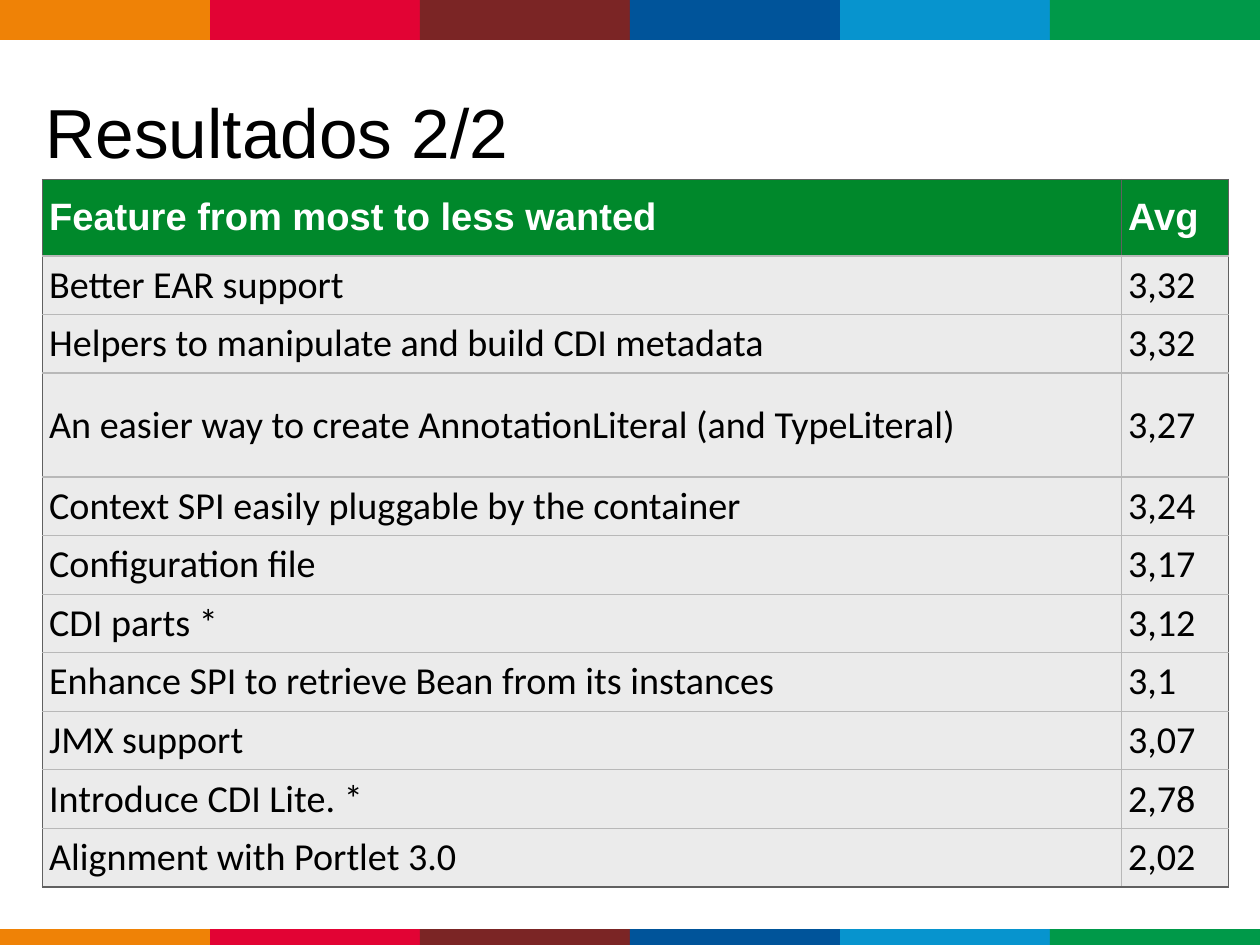
from lxml import etree
from pptx import Presentation
from pptx.dml.color import RGBColor
from pptx.enum.shapes import MSO_SHAPE
from pptx.enum.text import MSO_ANCHOR
from pptx.oxml.ns import qn
from pptx.util import Inches, Pt

RECT = MSO_SHAPE.RECTANGLE
MIDDLE = MSO_ANCHOR.MIDDLE

# The page measures 28 by 21 centimetres
WIDTH, HEIGHT = 28 / 2.54, 21 / 2.54
COLORS = {
    "orange": "EF8206", "red": "E20334", "maroon": "7B2525",
    "blue": "00549A", "sky": "0794CE", "green": "009949",
    "head": "00882B", "cell": "EBEBEB", "dark": "606060",
    "light": "B8B8B8", "black": "000000", "white": "FFFFFF",
}
STRIPES = ["orange", "red", "maroon", "blue", "sky", "green"]
ROWS = [
    ("Feature from most to less wanted", "Avg"),
    ("Better EAR support", "3,32"),
    ("Helpers to manipulate and build CDI metadata", "3,32"),
    ("An easier way to create AnnotationLiteral (and TypeLiteral)", "3,27"),
    ("Context SPI easily pluggable by the container", "3,24"),
    ("Configuration file", "3,17"),
    ("CDI parts *", "3,12"),
    ("Enhance SPI to retrieve Bean from its instances", "3,1"),
    ("JMX support", "3,07"),
    ("Introduce CDI Lite. *", "2,78"),
    ("Alignment with Portlet 3.0", "2,02"),
]
AVG_WIDTH = 0.94
TALL_ROWS = {0: 0.67, 3: 0.91}


def color(name):
    return RGBColor.from_string(COLORS[name])


def style(frame, size, font, tone, bold=False):
    for run in frame.paragraphs[0].runs:
        run.font.size = Pt(size)
        run.font.name = font
        run.font.bold = bold
        run.font.color.rgb = color(tone)


def add_band(slide, left, top, width, height):
    step = width / len(STRIPES)
    for i, tone in enumerate(STRIPES):
        bar = slide.shapes.add_shape(
            RECT, Inches(left + i * step), Inches(top),
            Inches(step), Inches(height))
        bar.shadow.inherit = False
        bar.fill.solid()
        bar.fill.fore_color.rgb = color(tone)
        bar.line.fill.background()


def add_title(slide, left, top, width, height):
    box = slide.shapes.add_textbox(
        Inches(left), Inches(top), Inches(width), Inches(height))
    frame = box.text_frame
    frame.word_wrap = True
    frame.vertical_anchor = MIDDLE
    frame.text = "Resultados 2/2"
    style(frame, 43.7, "Arial", "black")


def set_border(cell, tones):
    # Border lines come before the fill in the cell properties
    props = cell._tc.get_or_add_tcPr()
    for i, (side, tone) in enumerate(tones.items()):
        line = etree.Element(qn("a:ln" + side), w=str(Pt(0.96)))
        fill = etree.SubElement(line, qn("a:solidFill"))
        etree.SubElement(fill, qn("a:srgbClr"), val=COLORS[tone])
        props.insert(i, line)


def fill_cell(cell, text, row, col):
    head = row == 0
    cell.fill.solid()
    cell.fill.fore_color.rgb = color("head" if head else "cell")
    cell.margin_left = cell.margin_right = Inches(0.06)
    cell.margin_top = cell.margin_bottom = Inches(0.05)
    cell.vertical_anchor = MIDDLE
    cell.text_frame.text = text
    if head:
        style(cell.text_frame, 24, "Arial", "white", True)
    else:
        style(cell.text_frame, 24, "Calibri", "black")
    # Dark around the table and the header, light between body cells
    edges = {"L": col == 0, "R": col == 1, "T": False,
             "B": row == len(ROWS) - 1}
    set_border(cell, {side: "dark" if head or outer else "light"
                      for side, outer in edges.items()})


def add_scores(slide, left, top, width, height):
    table = slide.shapes.add_table(
        len(ROWS), 2, Inches(left), Inches(top),
        Inches(width), Inches(height)).table
    table.horz_banding = False
    table.columns[0].width = Inches(width - AVG_WIDTH)
    table.columns[1].width = Inches(AVG_WIDTH)
    # Plain rows share the height that the tall ones leave
    plain = (height - sum(TALL_ROWS.values())) / (len(ROWS) - len(TALL_ROWS))
    for i, texts in enumerate(ROWS):
        table.rows[i].height = Inches(TALL_ROWS.get(i, plain))
        for j, text in enumerate(texts):
            fill_cell(table.cell(i, j), text, i, j)


def main():
    deck = Presentation()
    deck.slide_width = Inches(WIDTH)
    deck.slide_height = Inches(HEIGHT)
    slide = deck.slides.add_slide(deck.slide_layouts[6])
    # Colour bands at the top and bottom edges
    add_band(slide, 0, 0, WIDTH, 0.35)
    add_band(slide, 0, 8.13, WIDTH, 0.14)
    # Heading and table of results
    add_title(slide, 0.3, 0.58, 6.86, 1.12)
    add_scores(slide, 0.37, 1.57, 10.38, 6.19)
    deck.save("out.pptx")


if __name__ == "__main__":
    main()
